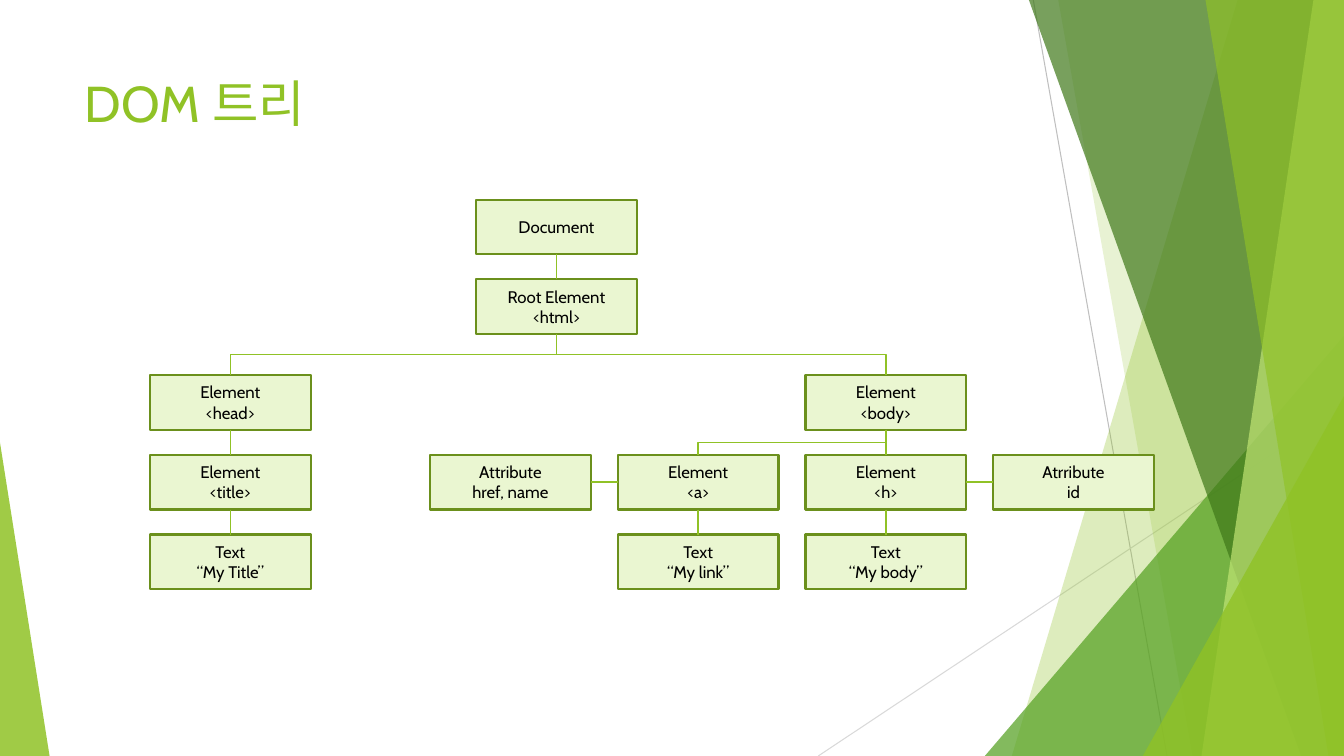
from lxml import etree
from pptx import Presentation
from pptx.dml.color import RGBColor
from pptx.enum import shapes, text
from pptx.oxml.ns import qn
from pptx.util import Cm, Pt

GREEN = RGBColor(0x90, 0xC2, 0x26)
MID_GREEN = RGBColor(0x54, 0xA0, 0x21)
DARK_GREEN = RGBColor(0x3F, 0x78, 0x19)
LIGHT_GREEN = RGBColor(0xC0, 0xE4, 0x74)
BOX_FILL = RGBColor(0xEA, 0xF6, 0xD1)
BOX_LINE = RGBColor(0x6B, 0x90, 0x1C)
GREY = RGBColor(0xBF, 0xBF, 0xBF)
PALE_GREY = RGBColor(0xD9, 0xD9, 0xD9)
BLACK = RGBColor(0, 0, 0)
FONT = "Cabin"

WIDTH, HEIGHT = 33.87, 19.05
BOX_WIDTH, BOX_HEIGHT = 4.05, 1.38
ROW_STEP, COLUMN_STEP = 2.01, 4.73
ROOT_TOP, BRANCH_TOP = 5.03, 9.45
HEAD_LEFT, ROOT_LEFT, BODY_LEFT = 3.78, 12, 20.3
TOP, LEFT, BOTTOM, RIGHT = range(4)

BOXES = {
    "document": (ROOT_LEFT, ROOT_TOP, "Document"),
    "html": (ROOT_LEFT, ROOT_TOP + ROW_STEP, "Root Element\n<html>"),
    "head": (HEAD_LEFT, BRANCH_TOP, "Element\n<head>"),
    "title": (HEAD_LEFT, BRANCH_TOP + ROW_STEP, "Element\n<title>"),
    "title text": (HEAD_LEFT, BRANCH_TOP + 2 * ROW_STEP, "Text\n“My Title”"),
    "body": (BODY_LEFT, BRANCH_TOP, "Element\n<body>"),
    "h": (BODY_LEFT, BRANCH_TOP + ROW_STEP, "Element\n<h>"),
    "h text": (BODY_LEFT, BRANCH_TOP + 2 * ROW_STEP, "Text\n“My body”"),
    "a": (BODY_LEFT - COLUMN_STEP, BRANCH_TOP + ROW_STEP, "Element\n<a>"),
    "a text": (BODY_LEFT - COLUMN_STEP, BRANCH_TOP + 2 * ROW_STEP, "Text\n“My link”"),
    "a attribute": (BODY_LEFT - 2 * COLUMN_STEP, BRANCH_TOP + ROW_STEP, "Attribute\nhref, name"),
    "h attribute": (BODY_LEFT + COLUMN_STEP, BRANCH_TOP + ROW_STEP, "Atrribute\nid"),
}
CHILDREN = [
    ("document", "html"), ("head", "title"), ("title", "title text"),
    ("body", "h"), ("h", "h text"), ("a", "a text"),
]
BRANCHES = [("html", "head"), ("html", "body"), ("body", "a")]
ATTRIBUTES = [("a", LEFT, "a attribute", RIGHT), ("h", RIGHT, "h attribute", LEFT)]

RAYS = [
    (26.04, 0, 29.41, HEIGHT, GREY),
    (WIDTH, 10.24, 20.62, HEIGHT, PALE_GREY),
]
BACK_BANDS = [(31.19, 25.5, GREEN, 30), (26.67, 30.05, GREEN, 20)]
FRONT_BANDS = [
    (25.93, 32.79, DARK_GREEN, 70),
    (33.1, 30.28, LIGHT_GREEN, 70),
    (30.38, 33.48, GREEN, 65),
]


def style_text(frame, size, color, alignment):
    for para in frame.paragraphs:
        para.alignment = alignment
        for span in para.runs:
            span.font.name = FONT
            span.font.size = Pt(size)
            span.font.color.rgb = color


def fill_facet(shape, color, opacity):
    shape.shadow.inherit = False
    shape.line.fill.background()
    shape.fill.solid()
    shape.fill.fore_color.rgb = color
    tint = shape.fill._xPr.find(qn("a:solidFill"))[0]
    etree.SubElement(tint, qn("a:alpha")).set("val", str(opacity * 1000))


def add_band(page, top_x, bottom_x, color, opacity):
    builder = page.shapes.build_freeform(Cm(top_x), 0, scale=1.0)
    corners = [(WIDTH, 0), (WIDTH, HEIGHT), (bottom_x, HEIGHT)]
    builder.add_line_segments([(Cm(x), Cm(y)) for x, y in corners], close=True)
    fill_facet(builder.convert_to_shape(), color, opacity)


def add_triangle(page, left, width, height, peak, color, opacity):
    triangle = page.shapes.add_shape(
        shapes.MSO_SHAPE.ISOSCELES_TRIANGLE,
        Cm(left), Cm(HEIGHT - height), Cm(width), Cm(height))
    triangle.adjustments[0] = peak
    fill_facet(triangle, color, opacity)


def add_line(page, kind, ends, color, weight):
    line = page.shapes.add_connector(kind, *[Cm(end) for end in ends])
    line.line.color.rgb = color
    line.line.width = Pt(weight)
    etree.SubElement(line._element.spPr, qn("a:effectLst"))
    return line


def add_backdrop(page):
    for *ends, color in RAYS:
        add_line(page, shapes.MSO_CONNECTOR.STRAIGHT, ends, color, 0.75)
    for band in BACK_BANDS:
        add_band(page, *band)
    add_triangle(page, 24.82, 9.05, 10.59, 1, MID_GREEN, 72)
    for band in FRONT_BANDS:
        add_band(page, *band)
    add_triangle(page, 28.8, 5.07, 9.07, 1, GREEN, 80)
    add_triangle(page, 0, 1.25, 7.9, 0, GREEN, 85)


def add_title(page, wording):
    title = page.shapes.title
    title.left, title.top, title.width, title.height = Cm(1.88), Cm(1.7), Cm(23.88), Cm(3.66)
    frame = title.text_frame
    frame.text = wording
    frame.auto_size = text.MSO_AUTO_SIZE.NONE
    frame.vertical_anchor = text.MSO_ANCHOR.TOP
    style_text(frame, 36, GREEN, text.PP_ALIGN.LEFT)


def add_box(page, left, top, wording):
    box = page.shapes.add_shape(
        shapes.MSO_SHAPE.RECTANGLE, Cm(left), Cm(top), Cm(BOX_WIDTH), Cm(BOX_HEIGHT))
    box.shadow.inherit = False
    box.fill.solid()
    box.fill.fore_color.rgb = BOX_FILL
    box.line.color.rgb = BOX_LINE
    box.line.width = Pt(1.5)
    box.text_frame.text = wording
    box.text_frame.vertical_anchor = text.MSO_ANCHOR.MIDDLE
    style_text(box.text_frame, 12, BLACK, text.PP_ALIGN.CENTER)
    return box


def link(page, start, start_side, end, end_side, kind=shapes.MSO_CONNECTOR.STRAIGHT):
    line = add_line(page, kind, (0, 0, 0, 0), GREEN, 1)
    line.begin_connect(start, start_side)
    line.end_connect(end, end_side)
    return line


def add_branch(page, parent, child):
    elbow = link(page, parent, BOTTOM, child, TOP, shapes.MSO_CONNECTOR.ELBOW)
    goes_right = elbow.end_x > elbow.begin_x
    across, down = elbow.width, elbow.height
    shift = (across - down) // 2
    elbow.left, elbow.top = elbow.left + shift, elbow.top - shift
    elbow.width, elbow.height = down, across
    frame = elbow._element.spPr.find(qn("a:xfrm"))
    frame.set("rot", str((270 if goes_right else 90) * 60000))
    frame.set("flipH", "1" if goes_right else "0")


def main():
    deck = Presentation()
    deck.slide_width, deck.slide_height = Cm(WIDTH), Cm(HEIGHT)
    page = deck.slides.add_slide(deck.slide_layouts[5])
    add_backdrop(page)
    add_title(page, "DOM 트리")
    boxes = {name: add_box(page, *place) for name, place in BOXES.items()}
    for parent, child in BRANCHES:
        add_branch(page, boxes[parent], boxes[child])
    for parent, child in CHILDREN:
        link(page, boxes[parent], BOTTOM, boxes[child], TOP)
    for element, side, attribute, far_side in ATTRIBUTES:
        link(page, boxes[element], side, boxes[attribute], far_side)
    deck.save("out.pptx")


main()
